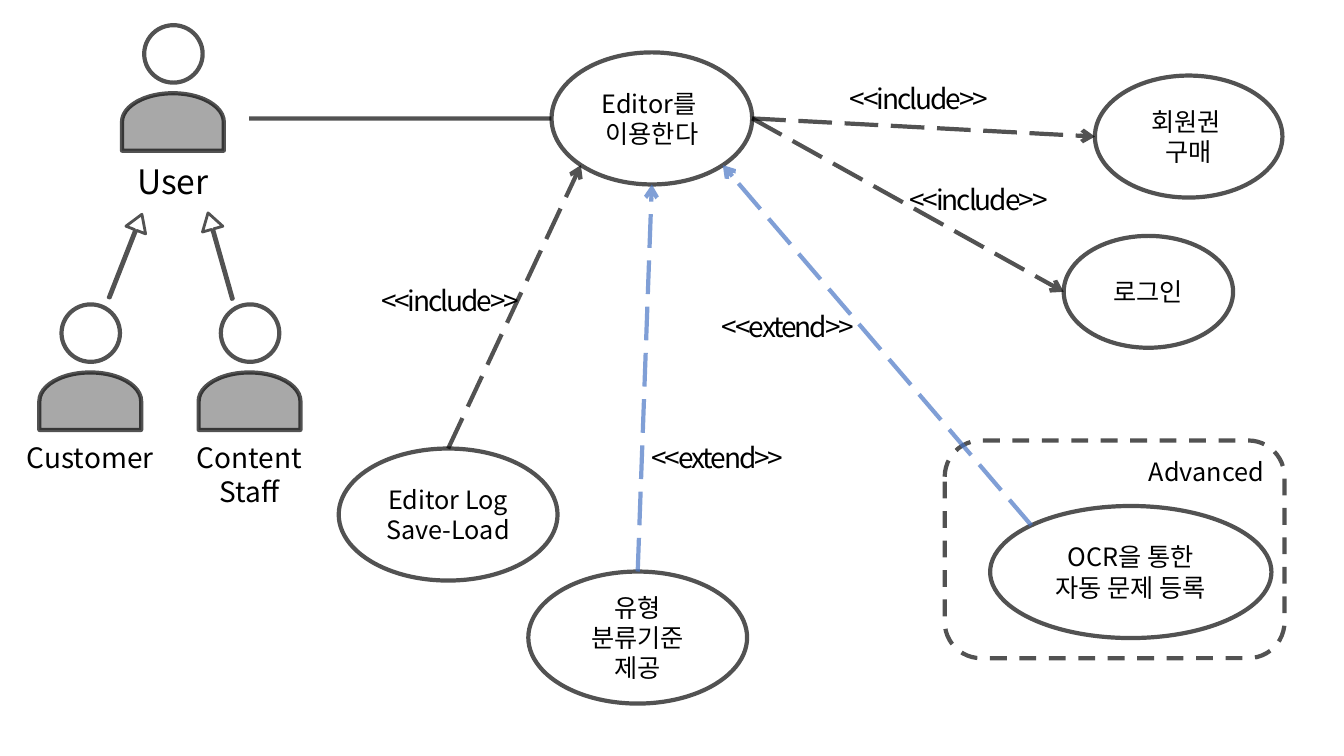
from math import cos, radians, sin

from lxml import etree
from pptx import Presentation
from pptx.dml.color import RGBColor
from pptx.enum.dml import MSO_LINE
from pptx.enum.shapes import MSO_CONNECTOR, MSO_SHAPE
from pptx.enum.text import MSO_ANCHOR, PP_ALIGN
from pptx.oxml.ns import qn
from pptx.util import Inches, Pt

COLORS = {"ink": "000000", "paper": "FFFFFF", "extend": "4472C4"}
FONT = "Noto Sans CJK KR"
ROWS = 75  # square grid cells down the slide height
SLIDE_WIDTH, SLIDE_HEIGHT = Inches(13.33), Inches(7.5)
CELL = SLIDE_HEIGHT / ROWS
LINE_ALPHA, BODY_ALPHA = 67, 34
DASH, LONG_DASH = MSO_LINE.DASH, MSO_LINE.LONG_DASH
OVAL, FRAME = MSO_SHAPE.OVAL, MSO_SHAPE.ROUNDED_RECTANGLE
BODY, ARROW = MSO_SHAPE.FLOWCHART_DELAY, MSO_SHAPE.RIGHT_ARROW
CENTER, RIGHT = PP_ALIGN.CENTER, PP_ALIGN.RIGHT
TOP = MSO_ANCHOR.TOP
STRAIGHT = MSO_CONNECTOR.STRAIGHT
ANGLES = {"E": 0, "SE": 45, "S": 90, "SW": 135, "W": 180, "NW": 225, "N": 270}

ACTORS_BOX = (1.4, 2.5, 31, 49)
CASES_BOX = (33, 5, 95, 65)


def emu(*cells):
    """Turn grid cells into slide lengths."""
    return [round(cell * CELL) for cell in cells]


def inside(box, left, top, width, height):
    """Shift a part's box to the corner of the region that holds it."""
    return box[0] + left, box[1] + top, width, height


def set_alpha(parent, percent):
    """Make the colour under an XML element partly transparent."""
    color = parent.find(".//" + qn("a:srgbClr"))
    etree.SubElement(color, qn("a:alpha"), val=str(percent * 1000))


def style_line(item, color="ink", width=3, dash=None):
    """Give a shape or connector its translucent line."""
    item.line.color.rgb = RGBColor.from_string(COLORS[color])
    item.line.width = Pt(width)
    if dash is not None:
        item.line.dash_style = dash
    set_alpha(item._element.spPr.find(qn("a:ln")), LINE_ALPHA)


def write(shape, text, size, align=CENTER, spacing=None):
    """Set wrapped text and format all of its runs."""
    frame = shape.text_frame
    frame.word_wrap = True
    frame.text = text
    for para in frame.paragraphs:
        para.alignment = align
        for span in para.runs:
            span.font.size = Pt(size)
            span.font.name = FONT
            span.font.color.rgb = RGBColor.from_string(COLORS["ink"])
            properties = span.font._element
            etree.SubElement(properties, qn("a:ea"), typeface=FONT)
            if spacing is not None:
                properties.set("spc", str(round(spacing * 100)))


def add_outline(page, kind, box, fill=None, alpha=None, width=3, dash=None):
    """Add a preset shape with an outline and an optional fill."""
    shape = page.shapes.add_shape(kind, *emu(*box))
    shape.shadow.inherit = False
    if fill is None:
        shape.fill.background()
    else:
        shape.fill.solid()
        shape.fill.fore_color.rgb = RGBColor.from_string(COLORS[fill])
        if alpha is not None:
            set_alpha(shape._element.spPr.find(qn("a:solidFill")), alpha)
    style_line(shape, width=width, dash=dash)
    return shape


def add_label(page, box, text, size, spacing=None):
    """Add a centred text box."""
    write(page.shapes.add_textbox(*emu(*box)), text, size, spacing=spacing)


def add_link(page, start, end, color="ink", dash=None, arrow=False):
    """Join two points with a line, with an open arrowhead if asked."""
    link = page.shapes.add_connector(STRAIGHT, *emu(*start, *end))
    style_line(link, color, dash=dash)
    properties = link._element.spPr
    if arrow:
        etree.SubElement(properties.find(qn("a:ln")), qn("a:tailEnd"), type="arrow")
    etree.SubElement(properties, qn("a:effectLst"))


def oval_site(box, side):
    """Return the point of an oval that lies on a compass side."""
    left, top, width, height = box
    angle = radians(ANGLES[side])
    return left + width / 2 * (1 + cos(angle)), top + height / 2 * (1 + sin(angle))


def draw_actor(page, box, name, size):
    """Draw one actor: head, shoulders and name."""
    add_outline(page, OVAL, inside(box, 4.7, 0, 5.8, 5.7))
    body = add_outline(page, BODY, inside(box, 4.7, 4.55, 5.7, 10.1), "ink", BODY_ALPHA)
    body.rotation = 270
    add_label(page, inside(box, 0, 13, box[2], box[3] - 13), name, size)


def draw_actors(page, box):
    """Draw the user above its two kinds; return the user's box."""
    user = inside(box, 8.2, 0, 15.1, 18)
    draw_actor(page, user, "User", 24)
    for left, name in ((0, "Customer"), (15.8, "Content Staff")):
        draw_actor(page, inside(box, left, 27.7, 15.1, 20.7), name, 20)
    for left, rotation in ((6.6, 291.4), (16, 254.2)):
        arrow = add_outline(page, ARROW, inside(box, left, 21.85, 8.9, 2.1), "paper", width=2)
        arrow.adjustments[0], arrow.adjustments[1] = 0.095, 0.798
        arrow.rotation = rotation
    return user


def draw_use_cases(page, box):
    """Draw the advanced frame and the use cases; return their boxes."""
    frame = add_outline(page, FRAME, inside(box, 60.7, 38.7, 33.7, 21.6), dash=DASH)
    write(frame, "Advanced", 18, RIGHT)
    frame.text_frame.vertical_anchor = TOP
    cases = {
        "editor": ("Editor를 \n이용한다", 21.7, 0.2, 19.9, 13.1),
        "login": ("로그인", 72.5, 18.4, 16.8, 11.1),
        "purchase": ("회원권 \n구매", 75.6, 2.5, 18.6, 12.1),
        "log": ("Editor Log\nSave-Load", 0.6, 39.5, 21.7, 13.1),
        "types": ("유형 분류기준 제공", 19.4, 51.7, 21.7, 13.1),
        "scan": ("OCR을 통한\n자동 문제 등록", 65.2, 45.2, 27.9, 13.1),
    }
    ovals = {}
    for name, (text, *part) in cases.items():
        ovals[name] = inside(box, *part)
        write(add_outline(page, OVAL, ovals[name], "paper"), text, 18)
    return ovals


def draw_relations(page, box, user, ovals):
    """Link the user and the use cases, and name each dependency."""
    end = oval_site(ovals["editor"], "W")
    add_link(page, (user[0] + user[2], end[1]), end)
    relations = (
        ("editor", "E", "login", "W", "include", 54.1, 12.6),
        ("editor", "E", "purchase", "W", "include", 48.2, 2.6),
        ("log", "N", "editor", "SW", "include", 1.7, 22.6),
        ("types", "N", "editor", "S", "extend", 28.2, 38.2),
        ("scan", "NW", "editor", "SE", "extend", 35.2, 25.2),
    )
    for source, start, target, finish, kind, left, top in relations:
        color = "extend" if kind == "extend" else "ink"
        add_link(page, oval_site(ovals[source], start),
                 oval_site(ovals[target], finish), color, LONG_DASH, True)
        add_label(page, inside(box, left, top, 19.9, 4.4), f"<<{kind}>>", 20, -1.5)


deck = Presentation()
deck.slide_width, deck.slide_height = SLIDE_WIDTH, SLIDE_HEIGHT
diagram = deck.slides.add_slide(deck.slide_layouts[6])
user_box = draw_actors(diagram, ACTORS_BOX)
case_boxes = draw_use_cases(diagram, CASES_BOX)
draw_relations(diagram, CASES_BOX, user_box, case_boxes)
deck.save("out.pptx")
